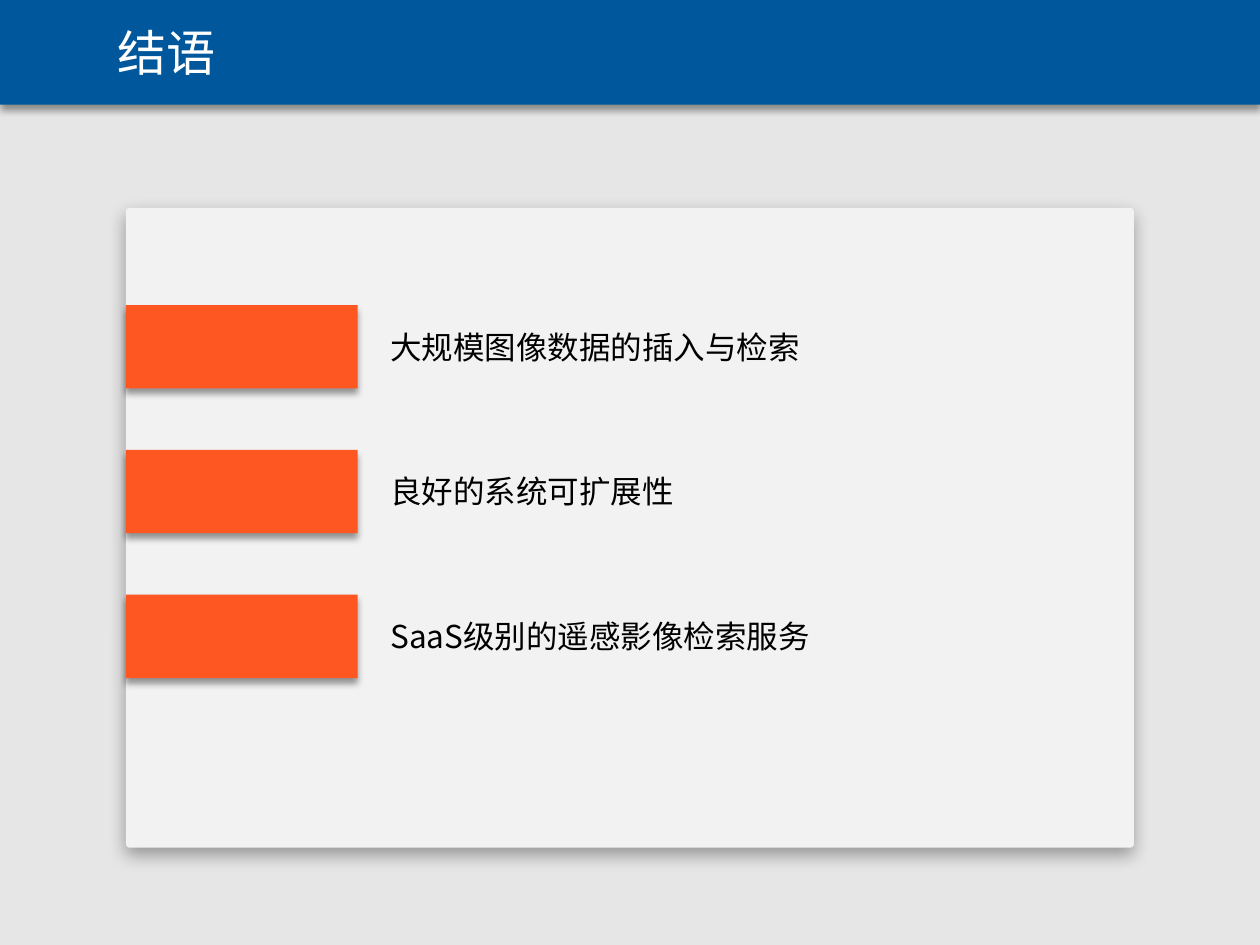
import lxml.etree
import pptx
import pptx.dml.color
import pptx.enum.shapes
import pptx.enum.text
import pptx.oxml.ns
import pptx.util
from pptx.util import Cm

COLORS = {
    "background": "E7E6E6",
    "header": "01579B",
    "card": "F2F2F2",
    "marker": "FF5722",
    "title": "FFFFFF",
    "text": "000000",
    "shadow": "000000",
}
FONT = "Lato"
# Each point is a list of (text, font) runs
POINTS = [
    [("大规模图像数据的插入与检索", FONT)],
    [("良好的系统可扩展性", FONT)],
    [("SaaS", "Noto Sans CJK JP"), ("级别的遥感影像检索服务", FONT)],
]


def rgb(name):
    return pptx.dml.color.RGBColor.from_string(COLORS[name])


def add_shadow(panel, alpha, blur, distance):
    """Downward shadow: opacity in percent, blur and distance in points."""
    panel.shadow.inherit = False
    effects = panel.element.spPr.find(pptx.oxml.ns.qn("a:effectLst"))
    outer = lxml.etree.SubElement(
        effects, pptx.oxml.ns.qn("a:outerShdw"),
        blurRad=str(pptx.util.Pt(blur)), dist=str(pptx.util.Pt(distance)),
        dir="5400000", algn="t", rotWithShape="0")
    color = lxml.etree.SubElement(
        outer, pptx.oxml.ns.qn("a:srgbClr"), val=COLORS["shadow"])
    lxml.etree.SubElement(
        color, pptx.oxml.ns.qn("a:alpha"), val=str(alpha * 1000))


def add_panel(slide, box, color, shadow=(40, 4, 3), corner=None):
    kinds = pptx.enum.shapes.MSO_SHAPE
    kind = kinds.RECTANGLE if corner is None else kinds.ROUNDED_RECTANGLE
    panel = slide.shapes.add_shape(kind, *map(Cm, box))
    if corner is not None:
        panel.adjustments[0] = corner
    panel.fill.solid()
    panel.fill.fore_color.rgb = rgb(color)
    panel.line.fill.background()
    add_shadow(panel, *shadow)
    return panel


def style(paragraph, size, color):
    paragraph.font.size = pptx.util.Pt(size)
    paragraph.font.color.rgb = rgb(color)


def add_title(slide, text, header):
    title = slide.shapes.title
    title.left, title.top, title.width, title.height = map(
        Cm, (1.04, 0.33, 4.62, 1.45))
    title.text = text
    title.text_frame.auto_size = pptx.enum.text.MSO_AUTO_SIZE.NONE
    paragraph = title.text_frame.paragraphs[0]
    paragraph.alignment = pptx.enum.text.PP_ALIGN.CENTER
    style(paragraph, 28, "title")
    paragraph.font.name = FONT
    header.element.addnext(title.element)  # keep the title above its band


def add_point(slide, box, runs):
    frame = slide.shapes.add_textbox(*map(Cm, box)).text_frame
    frame.word_wrap = True
    frame.auto_size = pptx.enum.text.MSO_AUTO_SIZE.SHAPE_TO_FIT_TEXT
    paragraph = frame.paragraphs[0]
    style(paragraph, 18, "text")
    if len(runs) == 1:
        paragraph.font.name = runs[0][1]
    for text, font in runs:
        run = paragraph.add_run()
        run.text = text
        if len(runs) > 1:
            run.font.name = font


def main():
    deck = pptx.Presentation()
    deck.slide_width, deck.slide_height = Cm(25.4), Cm(19.05)
    slide = deck.slides.add_slide(deck.slide_layouts[5])
    slide.background.fill.solid()
    slide.background.fill.fore_color.rgb = rgb("background")

    # Header band with title
    header = add_panel(slide, (0, 0, 25.4, 2.11), "header")
    add_title(slide, "结语", header)

    # Card with one marker and one line of text per point
    add_panel(slide, (2.54, 4.19, 20.32, 12.9), "card", (35, 10, 4), 0.006)
    for row, runs in enumerate(POINTS):
        top = 6.15 + row * 2.92
        add_panel(slide, (2.54, top, 4.67, 1.68), "marker")
        add_point(slide, (7.62, top + 0.33, 12.7, 1.02), runs)

    deck.save("out.pptx")


main()
